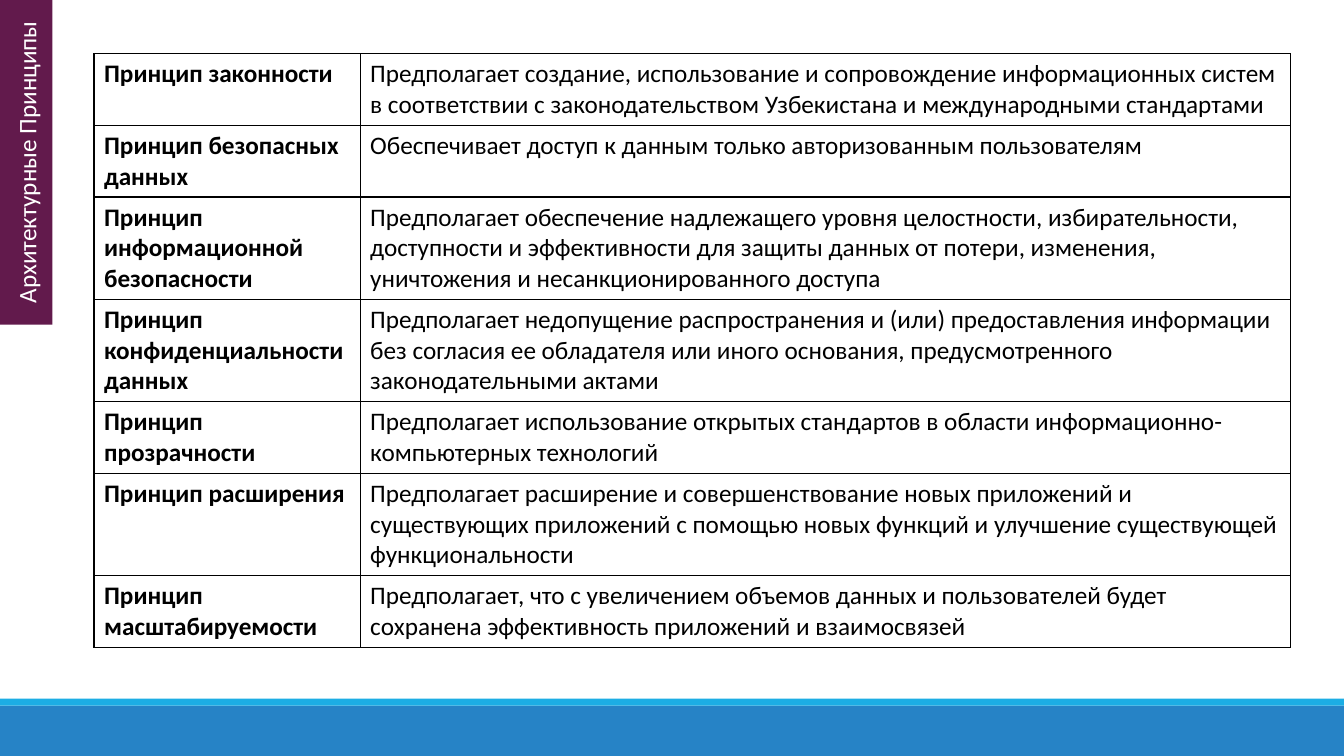
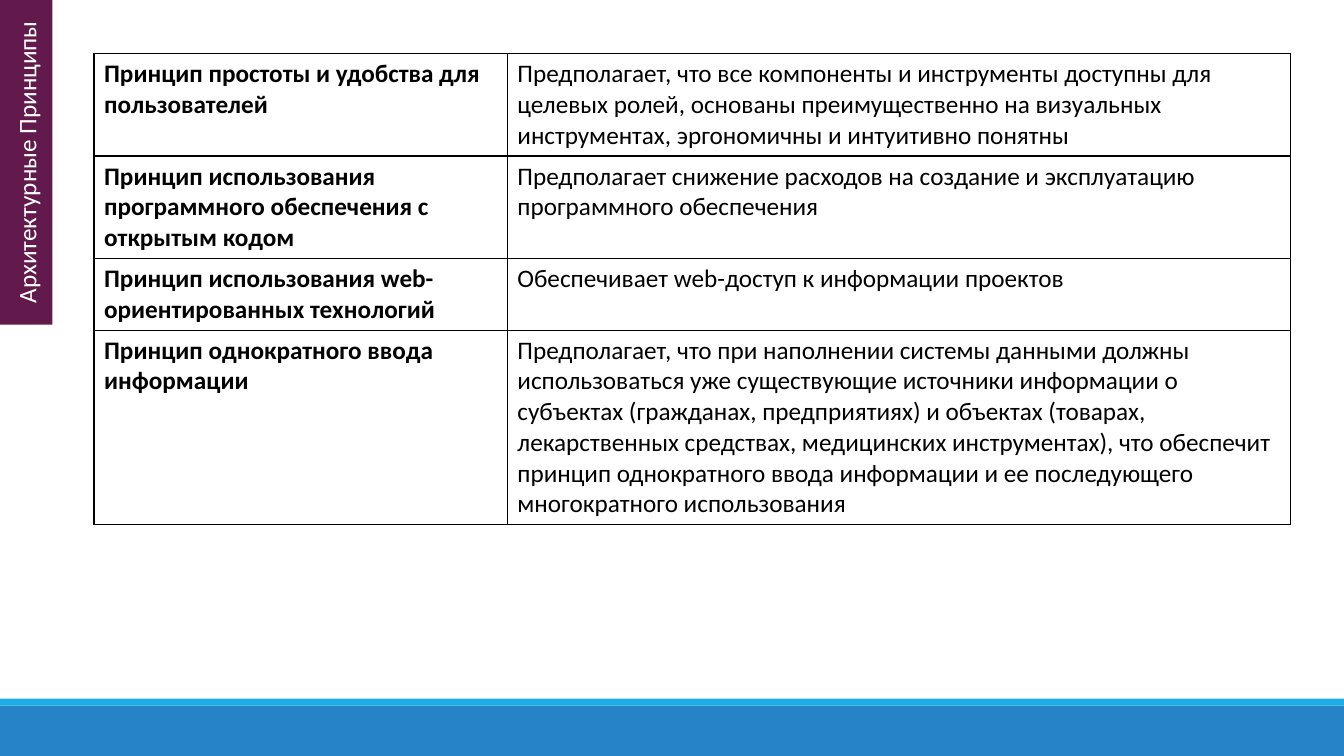
"""Builds two slides of architectural principles as bordered tables."""
from lxml.etree import SubElement as Sub
from pptx import Presentation as Pres
from pptx.dml.color import RGBColor as Rgb
from pptx.enum.shapes import MSO_SHAPE as Kind
from pptx.enum.text import MSO_ANCHOR as Anchor, MSO_AUTO_SIZE as Fit, PP_ALIGN as Align
from pptx.oxml.ns import qn
from pptx.util import Inches, Pt


def tint(part, hue):
    part.rgb = Rgb.from_string(hue)


def paint(shape, hue):
    shape.fill.solid()
    tint(shape.fill.fore_color, hue)
    shape.line.fill.background()


class Deck:
    FONT, SIZE = "Calibri", 18
    INK, PAPER, PLUM = "000000", "FFFFFF", "621A4C"
    BANDS = [(93.33, 6.67, "2683C6"), (92.4, 0.93, "1CADE4")]
    GRID = 100

    def __init__(self):
        self.pres = Pres()
        self.pres.slide_width = Inches(13.33)
        self.pres.slide_height = Inches(7.5)
        self.slide = None

    def col(self, count):
        return round(self.pres.slide_width * count / self.GRID)

    def row(self, count):
        return round(self.pres.slide_height * count / self.GRID)

    def open(self, title):
        self.slide = self.pres.slides.add_slide(self.pres.slide_layouts[5])
        for top, high, hue in self.BANDS:
            self.band(top, high, hue)
        self.tab(title)

    def band(self, top, high, hue):
        bar = self.slide.shapes.add_shape(
            Kind.RECTANGLE, 0, self.row(top), self.col(self.GRID), self.row(high))
        bar.shadow.inherit = False
        paint(bar, hue)

    def tab(self, text):
        wide, high = self.col(3.9), self.row(42.93)
        shift = (high - wide) // 2
        tab = self.slide.shapes.title
        tab.left, tab.top, tab.width, tab.height = -shift, shift, high, wide
        tab.rotation = 270
        paint(tab, self.PLUM)
        frame = tab.text_frame
        frame.auto_size = Fit.NONE
        frame.word_wrap = True
        frame.vertical_anchor = Anchor.MIDDLE
        frame.paragraphs[0].alignment = Align.CENTER
        self.run(frame, text, self.PAPER)

    def run(self, frame, text, hue, bold=False):
        run = frame.paragraphs[0].add_run()
        run.text = text
        font = run.font
        font.name, font.size, font.bold = self.FONT, Pt(self.SIZE), bold
        tint(font.color, hue)

    def edge(self, cell):
        props = cell._tc.get_or_add_tcPr()
        for side in "LRTB":
            line = Sub(props, qn(f"a:ln{side}"), w=str(Pt(1)))
            fill = Sub(line, qn("a:solidFill"))
            Sub(fill, qn("a:srgbClr"), val=self.INK)

    def table(self, rows, first):
        wide, high = 89, 5.47
        table = self.slide.shapes.add_table(
            len(rows), 2, self.col(7), self.row(7.1),
            self.col(wide), self.row(high * len(rows))).table
        table.first_row = table.horz_banding = False
        for col, span in zip(table.columns, (first, wide - first)):
            col.width = self.col(span)
        for y, texts in enumerate(rows):
            for x, text in enumerate(texts):
                cell = table.cell(y, x)
                self.edge(cell)
                cell.fill.background()
                self.run(cell.text_frame, text, self.INK, x == 0)


TITLE = "Архитектурные Принципы"
RULES = [
    ("Принцип законности",
     "Предполагает создание, использование и сопровождение информационных систем "
     "в соответствии с законодательством Узбекистана и международными стандартами"),
    ("Принцип безопасных данных",
     "Обеспечивает доступ к данным только авторизованным пользователям"),
    ("Принцип информационной безопасности",
     "Предполагает обеспечение надлежащего уровня целостности, избирательности, "
     "доступности и эффективности для защиты данных от потери, изменения, "
     "уничтожения и несанкционированного доступа"),
    ("Принцип конфиденциальности данных",
     "Предполагает недопущение распространения и (или) предоставления информации "
     "без согласия ее обладателя или иного основания, предусмотренного "
     "законодательными актами"),
    ("Принцип прозрачности",
     "Предполагает использование открытых стандартов в области "
     "информационно-компьютерных технологий"),
    ("Принцип расширения",
     "Предполагает расширение и совершенствование новых приложений и "
     "существующих приложений с помощью новых функций и улучшение существующей "
     "функциональности"),
    ("Принцип масштабируемости",
     "Предполагает, что с увеличением объемов данных и пользователей будет "
     "сохранена эффективность приложений и взаимосвязей"),
]
USES = [
    ("Принцип простоты и удобства для пользователей",
     "Предполагает, что все компоненты и инструменты доступны для целевых ролей, "
     "основаны преимущественно на визуальных инструментах, эргономичны и "
     "интуитивно понятны"),
    ("Принцип использования программного обеспечения с открытым кодом",
     "Предполагает снижение расходов на создание и эксплуатацию программного "
     "обеспечения"),
    ("Принцип использования web-ориентированных технологий",
     "Обеспечивает web-доступ к информации проектов"),
    ("Принцип однократного ввода информации",
     "Предполагает, что при наполнении системы данными должны использоваться уже "
     "существующие источники информации о субъектах (гражданах, предприятиях) и "
     "объектах (товарах, лекарственных средствах, медицинских инструментах), что "
     "обеспечит принцип однократного ввода информации и ее последующего "
     "многократного использования"),
]


def main():
    deck = Deck()
    for rows, first in ((RULES, 19.8), (USES, 30.75)):
        deck.open(TITLE)
        deck.table(rows, first)
    deck.pres.save("out.pptx")


if __name__ == "__main__":
    main()
